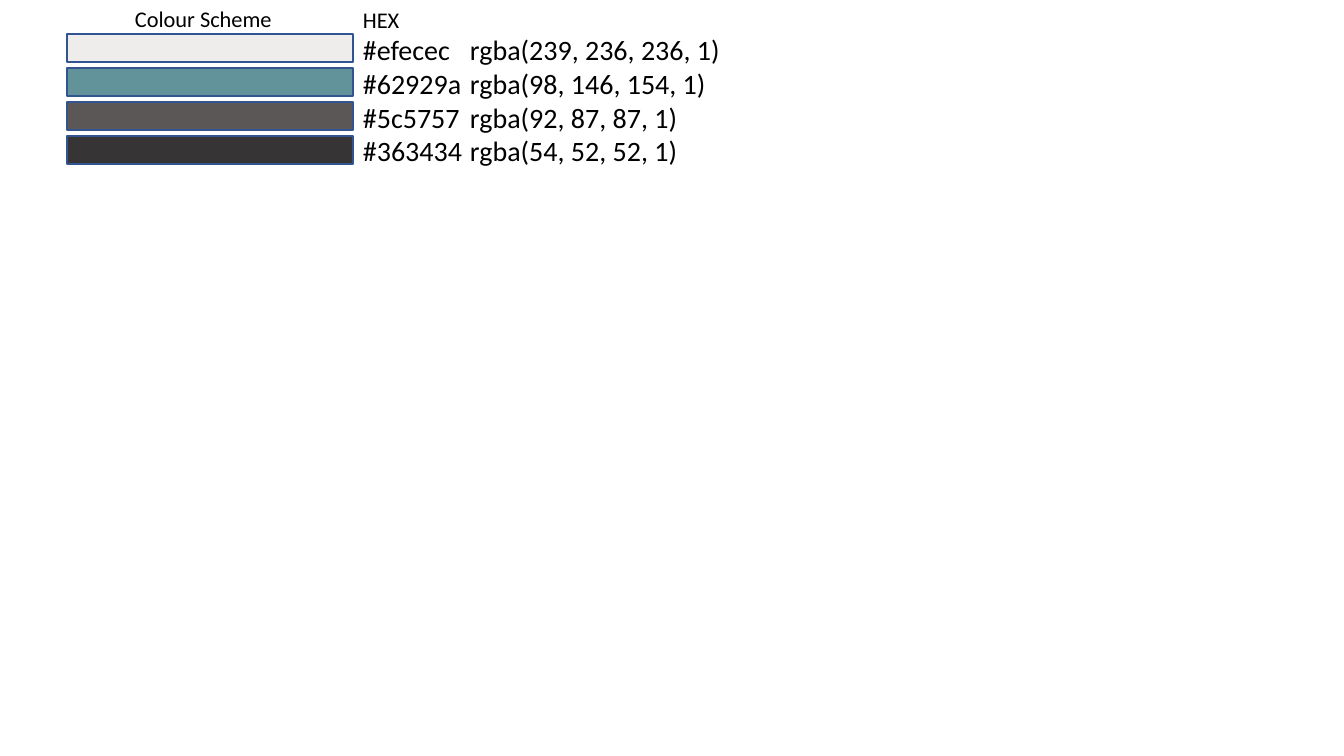
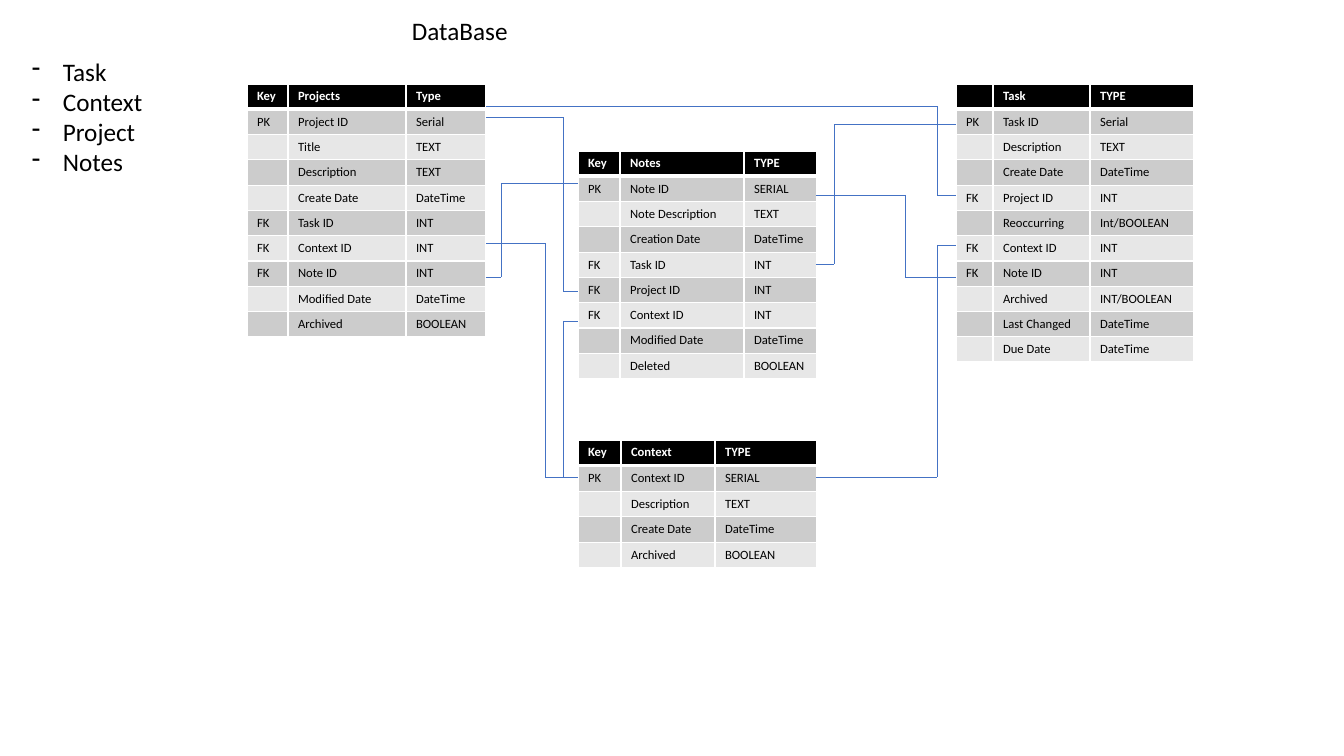
from dataclasses import dataclass
from itertools import pairwise

from lxml.etree import SubElement
from pptx import Presentation
from pptx.dml.color import RGBColor
from pptx.enum.shapes import MSO_CONNECTOR as Connector, MSO_SHAPE as Preset
from pptx.enum.text import MSO_AUTO_SIZE as AutoSize
from pptx.oxml.ns import qn
from pptx.util import Emu, Pt

PIXEL = 914400 / 100.8


@dataclass(frozen=True)
class Theme:
    """Colours as hex, type sizes and line widths in points."""
    font: str = "Calibri"
    text: str = "000000"
    header_fill: str = "000000"
    header_text: str = "FFFFFF"
    row_fills: tuple = ("CCCCCC", "E7E7E7")
    border: str = "FFFFFF"
    border_width: float = 1
    header_rule: float = 3
    swatch_line: str = "325491"
    swatch_line_width: float = 1
    link: str = "4472C4"
    link_width: float = 0.5
    label_size: int = 16
    code_size: int = 20
    heading_size: int = 18
    table_size: int = 9


theme = Theme()


def px(*lengths):
    """Turn pixel lengths into a list of EMU lengths."""
    return [Emu(round(length * PIXEL)) for length in lengths]


def add_text(slide, box, lines, size):
    """Add a text box with one paragraph per line and return its frame."""
    frame = slide.shapes.add_textbox(*px(*box)).text_frame
    frame.word_wrap = True
    frame.auto_size = AutoSize.SHAPE_TO_FIT_TEXT
    frame.text = "\n".join(lines)
    for paragraph in frame.paragraphs:
        for run in paragraph.runs:
            run.font.name = theme.font
            run.font.size = Pt(size)
            run.font.color.rgb = RGBColor.from_string(theme.text)
    return frame


presentation = Presentation()
presentation.slide_width, presentation.slide_height = px(1344, 756)
blank = presentation.slide_layouts[6]

# Colour scheme
slide = presentation.slides.add_slide(blank)
swatches = [(239, 236, 236), (98, 146, 154), (92, 87, 87), (54, 52, 52)]
for index, colour in enumerate(swatches):
    swatch = slide.shapes.add_shape(
        Preset.RECTANGLE, *px(67, 34 + 34 * index, 286, 28))
    swatch.shadow.inherit = False
    swatch.fill.solid()
    swatch.fill.fore_color.rgb = RGBColor(*colour)
    swatch.line.color.rgb = RGBColor.from_string(theme.swatch_line)
    swatch.line.width = Pt(theme.swatch_line_width)

codes = [f"#{r:02x}{g:02x}{b:02x}\t rgba({r}, {g}, {b}, 1)"
         for r, g, b in swatches]
add_text(slide, (353, 28, 546, 146), codes, theme.code_size)
add_text(slide, (125, 0, 171, 37), ["Colour Scheme"], theme.label_size)
add_text(slide, (353, 1, 102, 37), ["HEX"], theme.label_size)

# Database diagram
slide = presentation.slides.add_slide(blank)
add_text(slide, (402, 10, 118, 40), ["DataBase"], theme.heading_size)
entities = add_text(slide, (22, 51, 132, 132),
                    ["Task", "Context", "Project", "Notes"],
                    theme.heading_size)
indent = px(31)[0]
for paragraph in entities.paragraphs:
    properties = paragraph._p.get_or_add_pPr()
    properties.set("marL", str(indent))
    properties.set("indent", str(-indent))
    SubElement(properties, qn("a:buChar"), char="-")

# Each table: left, top, height, column widths, rows
tables = [
    (956, 84, 277, (37, 97, 104), [
        ("", "Task", "TYPE"),
        ("PK", "Task ID", "Serial"),
        ("", "Description", "TEXT"),
        ("", "Create Date", "DateTime"),
        ("FK", "Project ID", "INT"),
        ("", "Reoccurring", "Int/BOOLEAN"),
        ("FK", "Context ID", "INT"),
        ("FK", "Note ID", "INT"),
        ("", "Archived", "INT/BOOLEAN"),
        ("", "Last Changed", "DateTime"),
        ("", "Due Date", "DateTime"),
    ]),
    (247, 84, 252, (41, 118, 80), [
        ("Key", "Projects", "Type"),
        ("PK", "Project ID", "Serial"),
        ("", "Title", "TEXT"),
        ("", "Description", "TEXT"),
        ("", "Create Date", "DateTime"),
        ("FK", "Task ID", "INT"),
        ("FK", "Context ID", "INT"),
        ("FK", "Note ID", "INT"),
        ("", "Modified Date", "DateTime"),
        ("", "Archived", "BOOLEAN"),
    ]),
    (578, 440, 128, (43, 94, 102), [
        ("Key", "Context", "TYPE"),
        ("PK", "Context ID", "SERIAL"),
        ("", "Description", "TEXT"),
        ("", "Create Date", "DateTime"),
        ("", "Archived", "BOOLEAN"),
    ]),
    (578, 151, 227, (42, 124, 73), [
        ("Key", "Notes", "TYPE"),
        ("PK", "Note ID", "SERIAL"),
        ("", "Note Description", "TEXT"),
        ("", "Creation Date", "DateTime"),
        ("FK", "Task ID", "INT"),
        ("FK", "Project ID", "INT"),
        ("FK", "Context ID", "INT"),
        ("", "Modified Date", "DateTime"),
        ("", "Deleted", "BOOLEAN"),
    ]),
]
for left, top, height, widths, rows in tables:
    table = slide.shapes.add_table(
        len(rows), len(widths), *px(left, top, sum(widths), height)).table
    for column, width in zip(table.columns, px(*widths)):
        column.width = width
    for row_index, row in enumerate(rows):
        table.rows[row_index].height = px(height / len(rows))[0]
        is_header = row_index == 0
        fill = theme.header_fill if is_header else theme.row_fills[(row_index - 1) % 2]
        colour = theme.header_text if is_header else theme.text
        for column_index, value in enumerate(row):
            cell = table.cell(row_index, column_index)
            cell.text = value
            paragraph = cell.text_frame.paragraphs[0]
            for run in paragraph.runs:
                run.font.name = theme.font
                run.font.size = Pt(theme.table_size)
                run.font.bold = is_header
                run.font.color.rgb = RGBColor.from_string(colour)
            # Keeps rows with empty cells as low as the others
            SubElement(paragraph._p, qn("a:endParaRPr"),
                       sz=str(theme.table_size * 100))
            properties = cell._tc.get_or_add_tcPr()
            for side in ("lnL", "lnR", "lnT", "lnB"):
                thick = (is_header and side == "lnB") or (row_index == 1 and side == "lnT")
                width = theme.header_rule if thick else theme.border_width
                border = SubElement(properties, qn(f"a:{side}"), w=str(Pt(width)))
                solid = SubElement(border, qn("a:solidFill"))
                SubElement(solid, qn("a:srgbClr"), val=theme.border)
            cell.fill.solid()
            cell.fill.fore_color.rgb = RGBColor.from_string(fill)

# Each relation is a path of corner points
relations = [
    [(816, 264), (834, 264), (834, 124), (956, 124)],
    [(578, 291), (563, 291), (563, 117), (486, 117)],
    [(578, 321), (563, 321), (563, 477), (578, 477)],
    [(563, 477), (545, 477), (545, 243), (486, 243)],
    [(486, 277), (501, 277), (501, 183), (578, 183)],
    [(956, 195), (937, 195), (937, 106), (486, 106)],
    [(956, 245), (937, 245), (937, 477), (816, 477)],
    [(816, 195), (905, 195), (905, 277), (956, 277)],
]
for corners in relations:
    for start, end in pairwise(corners):
        link = slide.shapes.add_connector(Connector.STRAIGHT, *px(*start, *end))
        link.line.color.rgb = RGBColor.from_string(theme.link)
        link.line.width = Pt(theme.link_width)
        SubElement(link._element.spPr, qn("a:effectLst"))

presentation.save("out.pptx")
